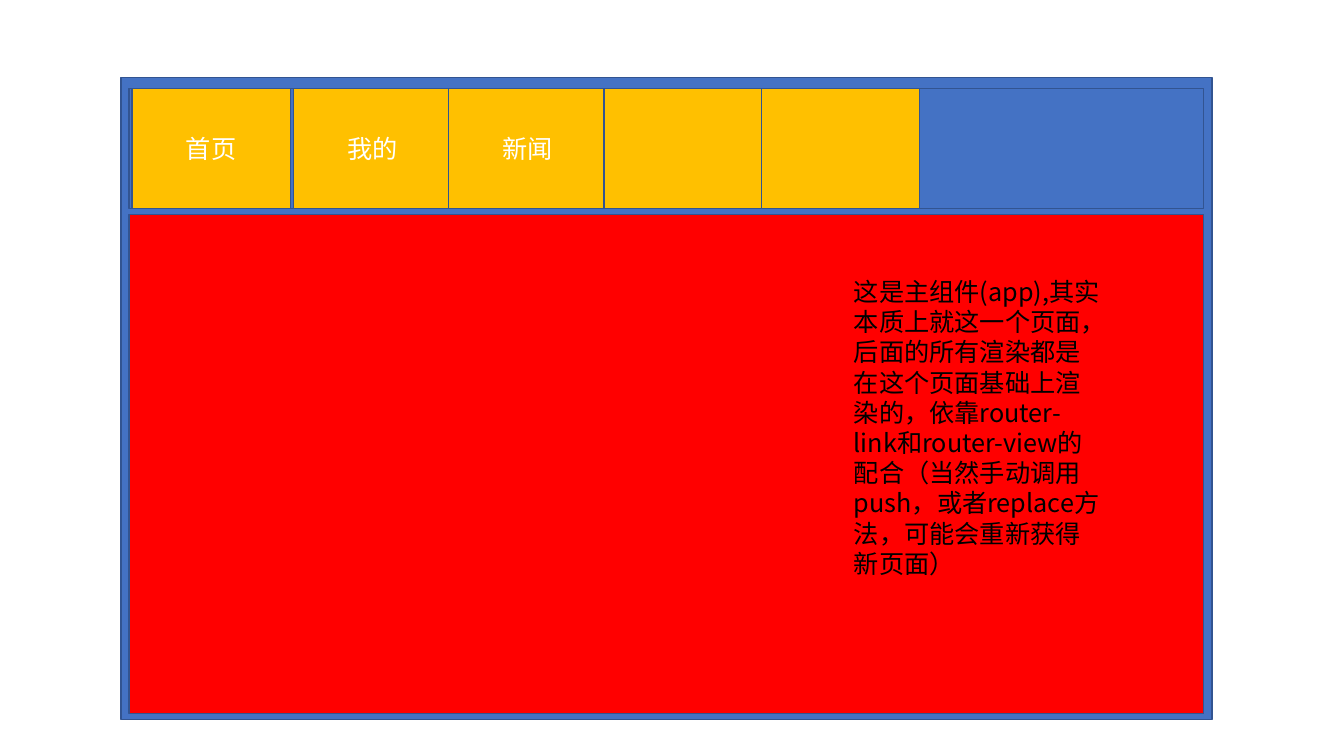
from dataclasses import dataclass

from lxml import etree
from pptx import Presentation
from pptx.dml.color import RGBColor
from pptx.enum.shapes import MSO_SHAPE
from pptx.enum.text import MSO_ANCHOR as Anchor, MSO_AUTO_SIZE as AutoSize, PP_ALIGN as Align
from pptx.oxml.ns import qn
from pptx.util import Inches, Pt

NAV_TABS = [("首页", 1.31), ("我的", 2.91), ("新闻", 4.45), ("", 5.99), ("", 7.55)]
NOTE = ("这是主组件(app),其实本质上就这一个页面，后面的所有渲染都是在这个页面基础上渲染的，"
        "依靠router-link和router-view的配合（当然手动调用push，或者replace方法，可能会重新获得新页面）")


@dataclass(frozen=True)
class Theme:
    frame: str = "4472C4"
    tab: str = "FFC000"
    view: str = "FF0000"
    line: str = "325491"
    tab_text: str = "FFFFFF"
    note_text: str = "000000"
    font: str = "Noto Sans CJK SC"
    size: int = 18
    line_width: int = 1


THEME = Theme()
SLIDE_W, SLIDE_H = 13.33, 7.5
INNER_X, INNER_W = 1.28, 10.66
NAV_Y, NAV_H, TAB_W = 0.88, 1.19, 1.57
APP_BOX = (1.2, 0.77, 10.82, 6.37)
NAV_BOX = (INNER_X, NAV_Y, INNER_W, NAV_H)
VIEW_BOX = (INNER_X, 2.13, INNER_W, 4.95)
NOTE_BOX = (8.37, 2.69, 2.66, 2.83)


def write(tf, text, color, align):
    tf.word_wrap = True
    p = tf.paragraphs[0]
    p.alignment = align
    r = p.add_run()
    r.text = text
    for name, value in {"size": Pt(THEME.size), "name": THEME.font}.items():
        setattr(r.font, name, value)
    r.font.color.rgb = RGBColor.from_string(color)
    etree.SubElement(r._r.get_or_add_rPr(), qn("a:ea")).set("typeface", THEME.font)


def add_panel(s, box, fill, text=""):
    sp = s.shapes.add_shape(MSO_SHAPE.RECTANGLE, *map(Inches, box))
    sp.shadow.inherit = False
    sp.fill.solid()
    sp.fill.fore_color.rgb = RGBColor.from_string(fill)
    sp.line.color.rgb = RGBColor.from_string(THEME.line)
    sp.line.width = Pt(THEME.line_width)
    if text:
        sp.text_frame.vertical_anchor = Anchor.MIDDLE
        write(sp.text_frame, text, THEME.tab_text, Align.CENTER)


def main():
    prs = Presentation()
    prs.slide_width, prs.slide_height = Inches(SLIDE_W), Inches(SLIDE_H)
    s = prs.slides.add_slide(prs.slide_layouts[6])

    add_panel(s, APP_BOX, THEME.frame)
    add_panel(s, NAV_BOX, THEME.frame)
    for label, left in NAV_TABS:
        add_panel(s, (left, NAV_Y, TAB_W, NAV_H), THEME.tab, label)
    add_panel(s, VIEW_BOX, THEME.view)

    tf = s.shapes.add_textbox(*map(Inches, NOTE_BOX)).text_frame
    write(tf, NOTE, THEME.note_text, Align.LEFT)
    tf.auto_size = AutoSize.SHAPE_TO_FIT_TEXT

    prs.save("out.pptx")


if __name__ == "__main__":
    main()
